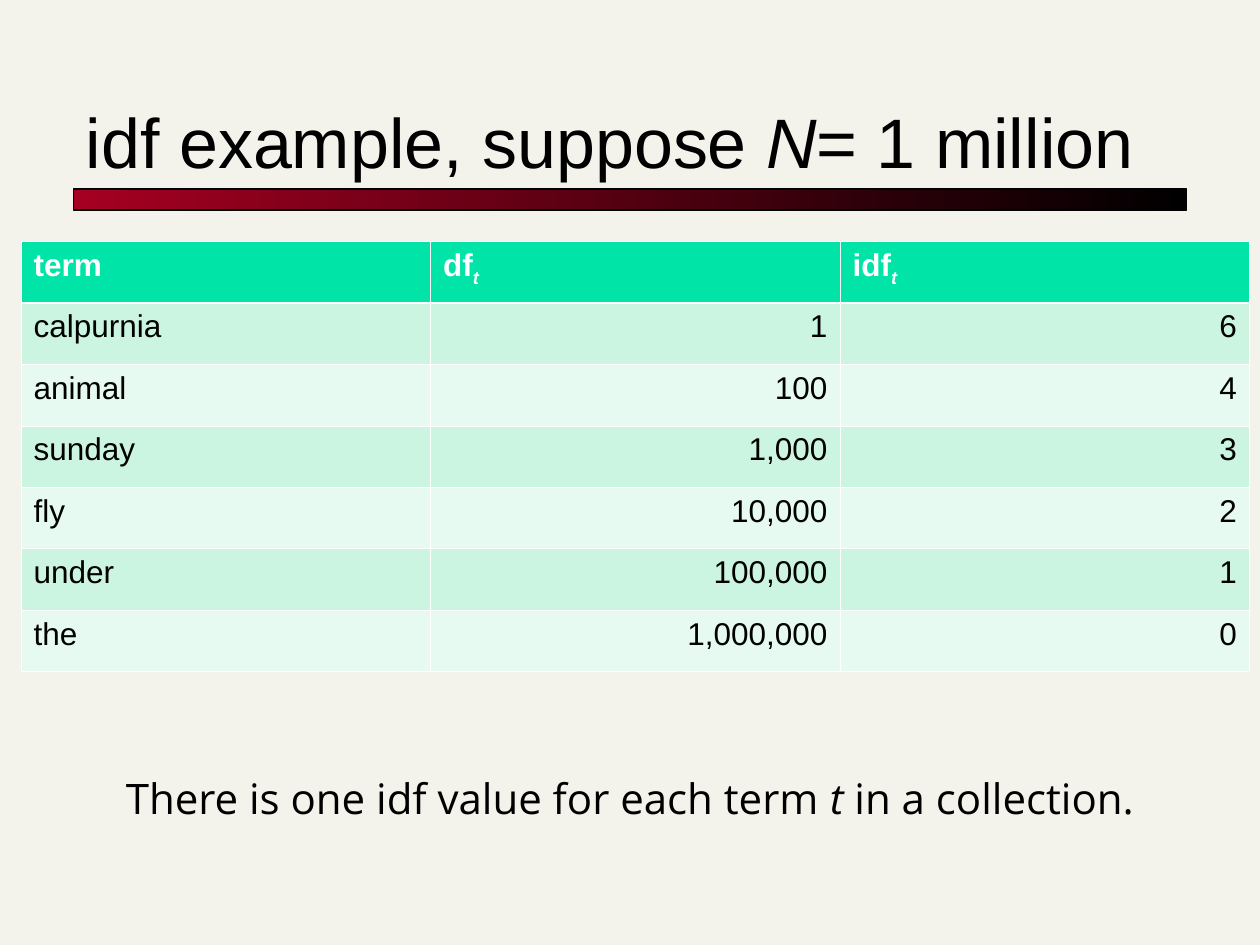
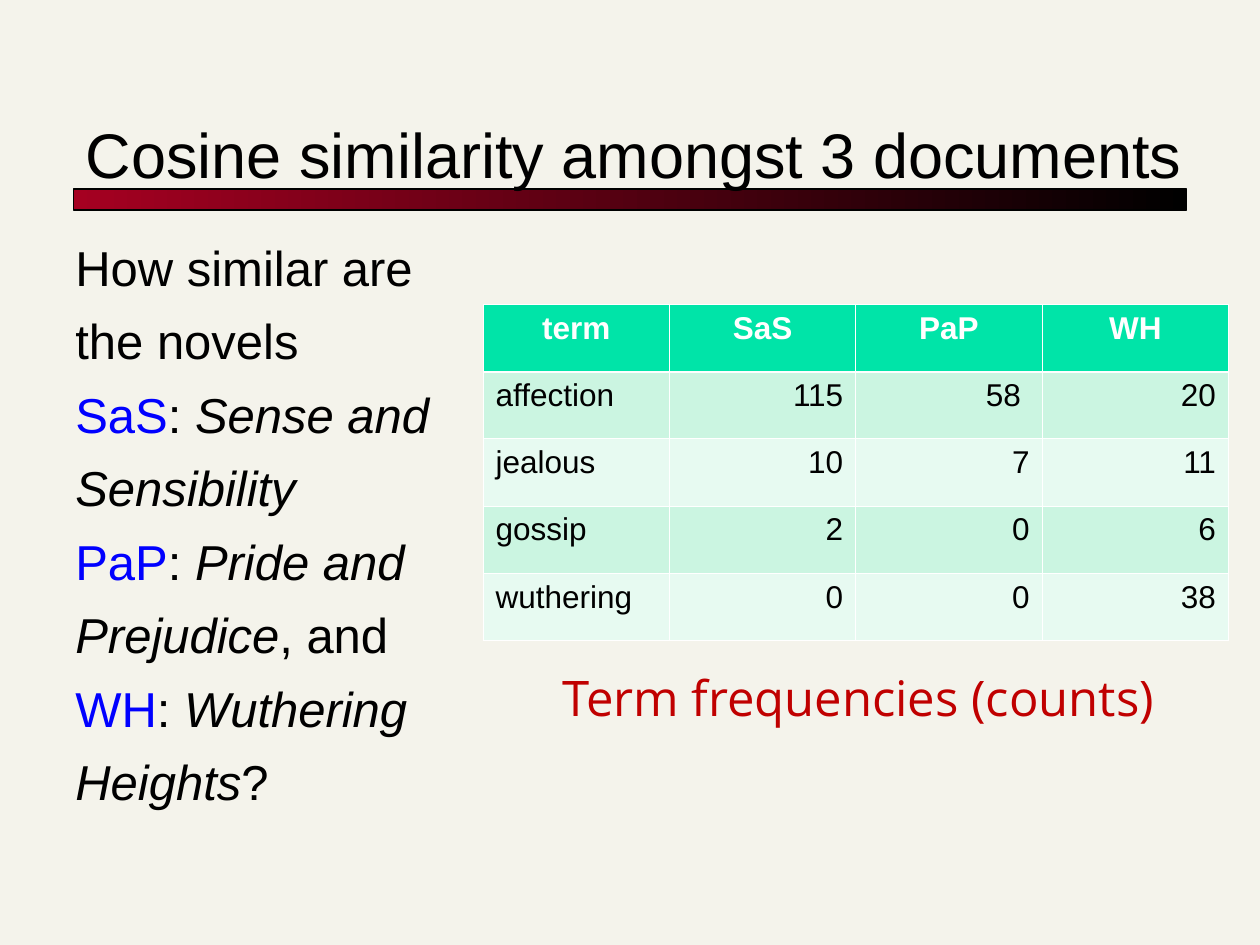
from lxml import etree
from pptx import Presentation, oxml, util as u
from pptx.dml import color
from pptx.enum import shapes, text

HUE = {"page": "F4F3EB", "ink": "000000", "wine": "A50021", "head": "00E4A8",
       "odd": "CBF5E1", "even": "E7FAF1", "rule": "FFFFFF", "key": "0000FF",
       "note": "C00000"}
UNIT = u.Inches(10) // 120  # the slide is a grid of 120 columns by 90 rows
BAND = (7, 18, 106, 2)
SANS, OPEN = "Arial", "Open Sans"
ALIGN = text.PP_ALIGN
EDGES = ("lnL", "lnR", "lnT", "lnB")
IT = {"italic": True}
KEY = {"hue": "key"}
SUB = {"italic": True, "base": "-25000"}


def rgb(name):
    return color.RGBColor.from_string(HUE[name])


def grid(box):
    return [round(n * UNIT) for n in box]


def write(para, runs, **base):
    """Add (text, format) runs; a plain string takes the base format."""
    for item in runs:
        words, extra = (item, {}) if isinstance(item, str) else item
        run = para.add_run()
        run.text = words
        look = {"name": SANS, "hue": "ink", "italic": False, **base, **extra}
        run.font.color.rgb = rgb(look.pop("hue"))
        if "base" in look:
            run.font._element.set("baseline", look.pop("base"))
        look["size"] = u.Pt(look["size"])
        for key, val in look.items():
            setattr(run.font, key, val)


def block(slide, box, paras, gap=0, frame=None, **base):
    body = slide.shapes.add_textbox(*grid(box)).text_frame
    for key, val in {"word_wrap": True, **(frame or {})}.items():
        setattr(body, key, val)
    for i, runs in enumerate(paras):
        para = body.add_paragraph() if i else body.paragraphs[0]
        if i:
            para.space_before = u.Pt(gap)
        write(para, runs, **base)


def band(slide, box):
    bar = slide.shapes.add_shape(shapes.MSO_SHAPE.RECTANGLE, *grid(box))
    bar.shadow.inherit = False
    bar.fill.gradient()
    bar.fill.gradient_angle = 0
    for stop, hue in zip(bar.fill.gradient_stops, ("wine", "ink")):
        stop.color.rgb = rgb(hue)
    bar.line.color.rgb = rgb("ink")
    bar.line.width = u.Pt(0.75)


def page(deck, box, title, size):
    """Start a slide with its ground, band and title."""
    slide = deck.slides.add_slide(deck.slide_layouts[6])
    slide.background.fill.solid()
    slide.background.fill.fore_color.rgb = rgb("page")
    band(slide, BAND)
    block(slide, box, [title], size=size,
          frame={"vertical_anchor": text.MSO_ANCHOR.BOTTOM})
    return slide


def edge(cell, row):
    """Rule a cell; the line under the header row is heavier."""
    props = cell._tc.get_or_add_tcPr()
    for tag in EDGES:
        thick = (row, tag) in ((0, "lnB"), (1, "lnT"))
        line = etree.SubElement(props, oxml.ns.qn("a:" + tag),
                                w=str(u.Pt(1.47 if thick else 0.45)))
        fill = etree.SubElement(line, oxml.ns.qn("a:solidFill"))
        etree.SubElement(fill, oxml.ns.qn("a:srgbClr"), val=HUE["rule"])


def table(slide, box, rows, top):
    """Draw rows of text under a header row aligned by top."""
    high, wide = len(rows), len(rows[0])
    left, y, width, height = grid(box)
    tab = slide.shapes.add_table(high, wide, left, y, width, height).table
    for col in tab.columns:
        col.width = width // wide
    for r, row in enumerate(rows):
        tab.rows[r].height = height // high
        for c, item in enumerate(row):
            cell = tab.cell(r, c)
            edge(cell, r)
            cell.fill.solid()
            shade = ("even", "odd")[r % 2] if r else "head"
            cell.fill.fore_color.rgb = rgb(shade)
            para = cell.text_frame.paragraphs[0]
            body = ALIGN.RIGHT if c else ALIGN.LEFT
            para.alignment = body if r else top
            write(para, [item] if isinstance(item, str) else item, size=18,
                  bold=not r, hue="ink" if r else "rule")


def label(slide, box, runs, **base):
    fit = text.MSO_AUTO_SIZE.SHAPE_TO_FIT_TEXT
    block(slide, box, [runs], name=OPEN,
          frame={"word_wrap": False, "auto_size": fit}, **base)


def idf(deck):
    slide = page(deck, (7, 5, 106, 13),
                 ["idf example, suppose ", ("N", IT), "= 1 million"], 40)
    table(slide, (2, 23, 117, 41), [
        ("term", ["df", ("t", SUB)], ["idf", ("t", SUB)]),
        ("calpurnia", "1", "6"),
        ("animal", "100", "4"),
        ("sunday", "1,000", "3"),
        ("fly", "10,000", "2"),
        ("under", "100,000", "1"),
        ("the", "1,000,000", "0"),
    ], ALIGN.LEFT)
    label(slide, (10.8, 73, 99.2, 6),
          ["There is one idf value for each term ", ("t", IT),
           " in a collection."], size=24)


def cosine(deck):
    slide = page(deck, (7, 3.6, 113, 15.2),
                 ["Cosine similarity amongst 3 documents"], 36)
    table(slide, (46, 29, 71, 32), [
        ("term", "SaS", "PaP", "WH"),
        ("affection", "115", "58 ", "20"),
        ("jealous", "10", "7", "11"),
        ("gossip", "2", "0", "6"),
        ("wuthering", "0", "0", "38"),
    ], ALIGN.CENTER)
    block(slide, (6, 21.5, 39.5, 61.5), [
        ["How similar are"],
        ["the novels"],
        [("SaS", KEY), ": ", ("Sense and", IT)],
        [("Sensibility", IT)],
        [("PaP", KEY), ": ", ("Pride and", IT)],
        [("Prejudice", IT), ", and"],
        [("WH", KEY), ": ", ("Wuthering", IT)],
        [("Heights", IT), "?"],
    ], gap=8.4, frame={"margin_top": u.Inches(0.09)}, size=28)
    label(slide, (52.4, 63, 59.5, 6.8), ["Term frequencies (counts)"],
          size=28, hue="note")


def main():
    deck = Presentation()
    deck.slide_width, deck.slide_height = 120 * UNIT, 90 * UNIT
    idf(deck)
    cosine(deck)
    deck.save("out.pptx")


if __name__ == "__main__":
    main()
